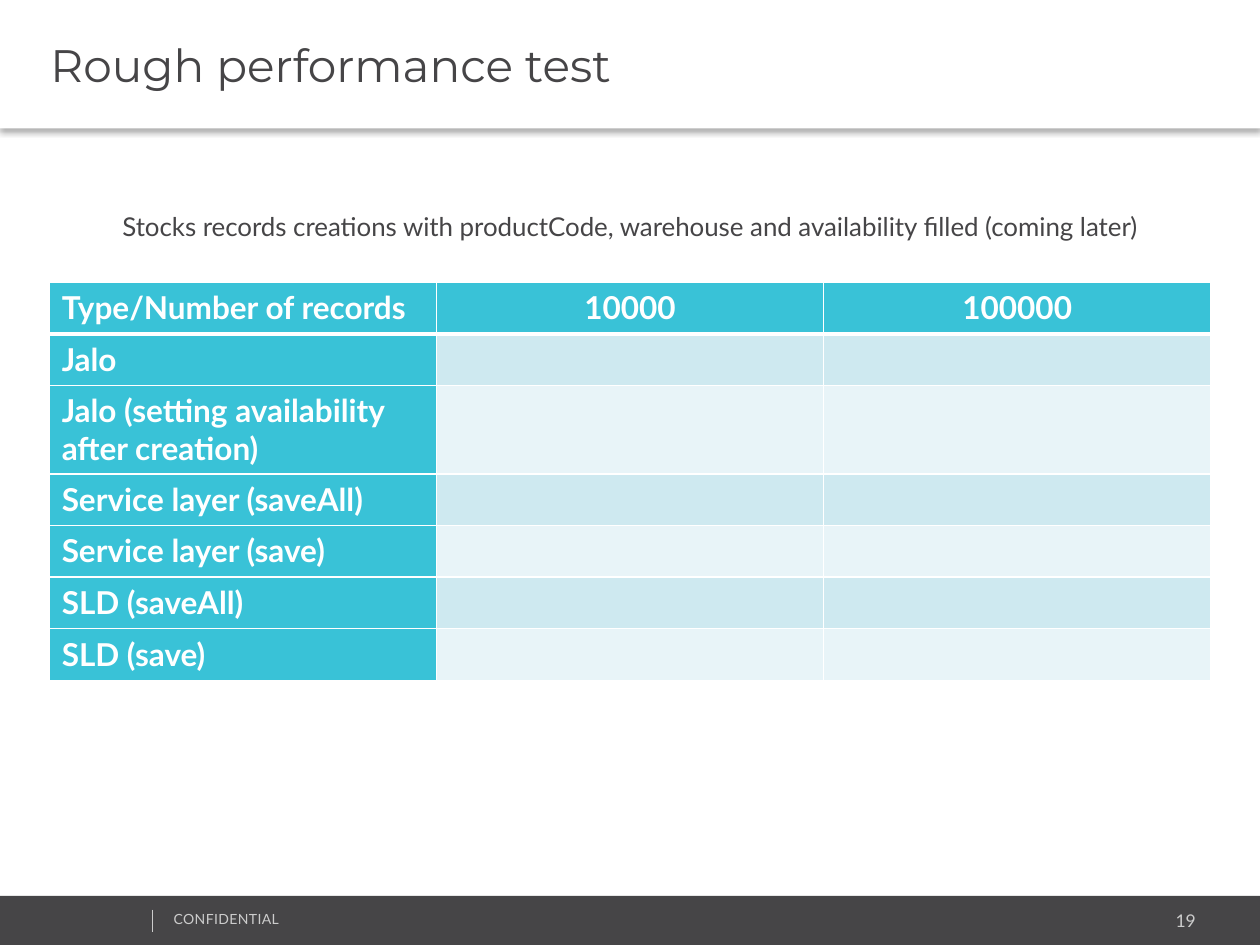
from lxml import etree
from pptx import Presentation
from pptx.dml.color import RGBColor
from pptx.enum.shapes import MSO_CONNECTOR, MSO_SHAPE
from pptx.enum.text import MSO_ANCHOR, MSO_AUTO_SIZE, PP_ALIGN
from pptx.oxml.ns import qn
from pptx.util import Inches, Pt

LEFT, CENTER, RIGHT = PP_ALIGN.LEFT, PP_ALIGN.CENTER, PP_ALIGN.RIGHT
MIDDLE = MSO_ANCHOR.MIDDLE
NO_AUTOFIT = MSO_AUTO_SIZE.NONE
RECTANGLE = MSO_SHAPE.RECTANGLE
STRAIGHT = MSO_CONNECTOR.STRAIGHT

DARK, WHITE, PALE_GREY = "464547", "FFFFFF", "CCCCCC"
TEAL, BAND_DARK, BAND_LIGHT = "39C2D7", "CEE9F0", "E8F4F8"
BODY_FONT, TITLE_FONT = "Lato", "Montserrat"

HEADERS = ["Type/Number of records", "10000", "100000"]
TEST_TYPES = [
    "Jalo",
    "Jalo (setting availability after creation)",
    "Service layer (saveAll)",
    "Service layer (save)",
    "SLD (saveAll)",
    "SLD (save)",
]


def color(hex_value):
    return RGBColor.from_string(hex_value)


def add_xml(parent, tag, **attributes):
    element = etree.SubElement(parent, qn(tag))
    for name, value in attributes.items():
        element.set(name, str(value))
    return element


class SlideBuilder:
    """Holds the current slide and the style of its elements."""

    def __init__(self, slide):
        self.slide = slide

    def place(self, shape, left, top, width, height):
        shape.left, shape.top = Inches(left), Inches(top)
        shape.width, shape.height = Inches(width), Inches(height)

    def style(self, paragraph, size, hex_value, align=LEFT, font=BODY_FONT, bold=False):
        paragraph.alignment = align
        paragraph.space_before = Pt(0)
        paragraph.font.name = font
        paragraph.font.size = Pt(size)
        paragraph.font.bold = bold
        paragraph.font.color.rgb = color(hex_value)

    def title(self, text, *box):
        title = self.slide.shapes.title
        self.place(title, *box)
        title.fill.solid()
        title.fill.fore_color.rgb = color(WHITE)
        title.line.fill.background()
        # Soft shadow below the title band
        effects = add_xml(title._element.spPr, "a:effectLst")
        shadow = add_xml(effects, "a:outerShdw", blurRad=Pt(3.1), dist=Pt(2),
                         dir=90 * 60000, algn="t", rotWithShape=0)
        add_xml(add_xml(shadow, "a:srgbClr", val="000000"), "a:alpha", val=30000)
        frame = title.text_frame
        frame.text = text
        frame.auto_size = NO_AUTOFIT
        frame.vertical_anchor = MIDDLE
        frame.margin_left = Inches(0.4)
        self.style(frame.paragraphs[0], 26, DARK, font=TITLE_FONT)

    def body(self, text, *box):
        body = self.slide.placeholders[1]
        self.place(body, *box)
        frame = body.text_frame
        frame.text = text
        frame.auto_size = NO_AUTOFIT
        paragraph = frame.paragraphs[0]
        properties = paragraph._p.get_or_add_pPr()
        properties.set("marL", "0")
        properties.set("indent", "0")
        add_xml(properties, "a:buNone")
        self.style(paragraph, 14.8, DARK, CENTER)
        paragraph.line_spacing = 1.2

    def bar(self, hex_value, *box):
        bar = self.slide.shapes.add_shape(RECTANGLE, *map(Inches, box))
        bar.shadow.inherit = False
        bar.fill.solid()
        bar.fill.fore_color.rgb = color(hex_value)
        bar.line.fill.background()

    def label(self, text, size, align, spacing, *box):
        frame = self.slide.shapes.add_textbox(*map(Inches, box)).text_frame
        frame.word_wrap = True
        frame.text = text
        paragraph = frame.paragraphs[0]
        self.style(paragraph, size, PALE_GREY, align)
        if spacing:
            paragraph.runs[0]._r.get_or_add_rPr().set("spc", str(spacing))

    def divider(self, x, top, bottom):
        line = self.slide.shapes.add_connector(
            STRAIGHT, Inches(x), Inches(top), Inches(x), Inches(bottom))
        line.line.color.rgb = color(PALE_GREY)
        line.line.width = Pt(0.25)
        add_xml(line._element.spPr, "a:effectLst")

    def cell(self, cell, text, fill, align, top_width, bottom_width):
        # Borders come before the fill in the cell properties
        properties = cell._tc.get_or_add_tcPr()
        for side, width in zip("LRTB", (1, 1, top_width, bottom_width)):
            border = add_xml(properties, f"a:ln{side}", w=Pt(width))
            add_xml(add_xml(border, "a:solidFill"), "a:srgbClr", val=WHITE)
        cell.fill.solid()
        cell.fill.fore_color.rgb = color(fill)
        if text:
            cell.text = text
            self.style(cell.text_frame.paragraphs[0], 18, WHITE, align, bold=True)

    def table(self, headers, row_names, left, top, width, row_height, tall_height):
        rows = [headers] + [[name] + [""] * (len(headers) - 1) for name in row_names]
        height = row_height * (len(rows) - 1) + tall_height
        table = self.slide.shapes.add_table(
            len(rows), len(headers), *map(Inches, (left, top, width, height))).table
        for column in table.columns:
            column.width = Inches(width / len(headers))
        for r, texts in enumerate(rows):
            wraps = len(texts[0]) > 30
            table.rows[r].height = Inches(tall_height if wraps else row_height)
            band = BAND_DARK if r % 2 else BAND_LIGHT
            for c, text in enumerate(texts):
                self.cell(table.cell(r, c), text,
                          TEAL if r == 0 or c == 0 else band,
                          CENTER if c else LEFT,
                          3 if r == 1 else 1, 3 if r == 0 else 1)


def main():
    presentation = Presentation()
    presentation.slide_width, presentation.slide_height = Inches(10), Inches(7.5)
    builder = SlideBuilder(presentation.slides.add_slide(presentation.slide_layouts[1]))

    # Footer
    builder.bar(DARK, 0, 7.11, 10, 0.4)
    builder.label("19", 10, RIGHT, 0, 7.96, 7.17, 1.63, 0.27)
    builder.label("CONFIDENTIAL", 8, LEFT, 20, 1.28, 7.18, 2.53, 0.24)
    builder.divider(1.21, 7.22, 7.4)

    # Title and introduction
    builder.title("Rough performance test", 0, 0, 10, 1.02)
    builder.body("Stocks records creations with productCode, warehouse and "
                 "availability filled (coming later)", 0.39, 1.57, 9.22, 0.43)

    # Results table, still to be filled
    builder.table(HEADERS, TEST_TYPES, 0.39, 2.24, 9.22, 0.41, 0.7)

    presentation.save("out.pptx")


if __name__ == "__main__":
    main()
